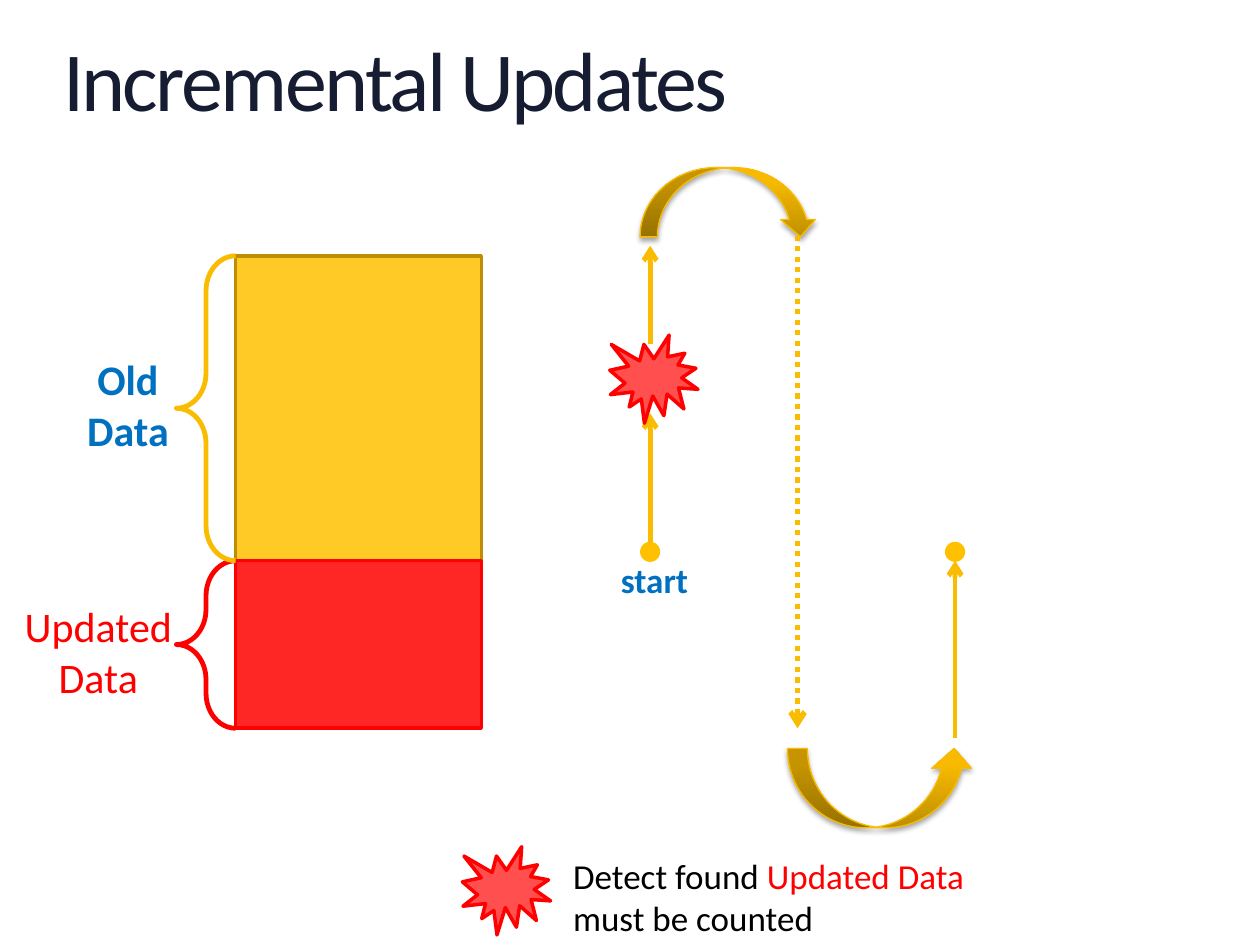
from dataclasses import dataclass

from lxml.etree import SubElement
from pptx import Presentation
from pptx.dml.color import RGBColor
from pptx.enum.dml import MSO_LINE
from pptx.enum.shapes import MSO_CONNECTOR, MSO_SHAPE
from pptx.enum.text import MSO_ANCHOR, PP_ALIGN
from pptx.oxml import parse_xml
from pptx.oxml.ns import nsdecls, qn
from pptx.util import Inches, Pt


@dataclass(frozen=True)
class Theme:
    font: str = "Calibri"
    title_size: float = 48
    label_size: float = 24
    body_size: float = 20
    title: str = "161D32"
    label: str = "0070C0"
    text: str = "000000"
    red: str = "FF0000"
    gold: str = "FFC000"
    gold_line: str = "F9BC00"
    gold_border: str = "BD8E00"
    gradient: tuple = ((0, "BE8F00"), (80, "F7BA00"), (100, "F8BB00"))


THEME = Theme()


def write_text(frame, paragraphs, size, color, bold=False, align=PP_ALIGN.LEFT):
    """Write paragraphs, each a list of (text, color or None) runs."""
    frame.word_wrap = True
    for index, runs in enumerate(paragraphs):
        paragraph = frame.paragraphs[0] if index == 0 else frame.add_paragraph()
        paragraph.alignment = align
        for text, run_color in runs:
            run = paragraph.add_run()
            run.text = text
            run.font.name = THEME.font
            run.font.size = Pt(size)
            run.font.bold = bold
            run.font.color.rgb = RGBColor.from_string(run_color or color)


def add_text(slide, box, paragraphs, **text_format):
    text_box = slide.shapes.add_textbox(*map(Inches, box))
    write_text(text_box.text_frame, paragraphs, **text_format)


def add_shape(slide, kind, box, fill=None, opacity=100, line=None, width=2):
    shape = slide.shapes.add_shape(kind, *map(Inches, box))
    shape.shadow.inherit = False
    if fill:
        shape.fill.solid()
        shape.fill.fore_color.rgb = RGBColor.from_string(fill)
        if opacity < 100:
            color = shape.fill._xPr.find(qn("a:solidFill"))[0]
            SubElement(color, qn("a:alpha"), val=str(opacity * 1000))
    else:
        shape.fill.background()
    if line:
        shape.line.color.rgb = RGBColor.from_string(line)
        shape.line.width = Pt(width)
    else:
        shape.line.fill.background()
    return shape


def add_arrow(slide, start, end, width=2.75, dash=None):
    arrow = slide.shapes.add_connector(
        MSO_CONNECTOR.STRAIGHT, *map(Inches, (*start, *end)))
    arrow.line.color.rgb = RGBColor.from_string(THEME.gold_line)
    arrow.line.width = Pt(width)
    if dash:
        arrow.line.dash_style = dash
    SubElement(arrow.line._get_or_add_ln(), qn("a:tailEnd"), type="arrow")
    SubElement(arrow._element.spPr, qn("a:effectLst"))


def add_curved_arrow(slide, kind, box):
    shape = add_shape(slide, kind, box, line=THEME.gold_line, width=0.75)
    properties = shape._element.spPr
    stops = "".join(
        f'<a:gs pos="{position * 1000}"><a:srgbClr val="{color}"/></a:gs>'
        for position, color in THEME.gradient)
    gradient = parse_xml(
        f'<a:gradFill {nsdecls("a")} rotWithShape="1"><a:gsLst>{stops}</a:gsLst>'
        '<a:lin ang="16200000" scaled="0"/></a:gradFill>')
    properties.replace(properties.find(qn("a:noFill")), gradient)
    shadow = SubElement(
        properties.find(qn("a:effectLst")), qn("a:outerShdw"),
        blurRad=str(Pt(3.1)), dist=str(Pt(1.8)), dir="5400000", rotWithShape="0")
    color = SubElement(shadow, qn("a:srgbClr"), val="000000")
    SubElement(color, qn("a:alpha"), val="35000")


def add_burst(slide, left, top):
    add_shape(slide, MSO_SHAPE.EXPLOSION1, (left, top, 0.7, 0.7),
              THEME.red, 69, THEME.red)


def add_dot(slide, center, top):
    diameter = 0.16
    add_shape(slide, MSO_SHAPE.OVAL,
              (center - diameter / 2, top, diameter, diameter), THEME.gold)


def add_title(slide, box, text):
    title = slide.shapes.title
    title.left, title.top, title.width, title.height = map(Inches, box)
    frame = title.text_frame
    frame.margin_left = frame.margin_right = 0
    frame.margin_top = frame.margin_bottom = 0
    frame.vertical_anchor = MSO_ANCHOR.TOP
    write_text(frame, [[(text, None)]], THEME.title_size, THEME.title)
    paragraph = frame.paragraphs[0]
    paragraph.line_spacing = 0.9
    paragraph.runs[0].font._element.set("spc", "-150")


def add_data_stack(slide, box):
    """Place the old and updated data blocks with their braces and labels."""
    left, top, width, height = box
    old_height = 2.42
    brace_width = 0.47
    middle = top + old_height
    blocks = (
        (top, old_height, THEME.gold, THEME.gold_border),
        (middle, height - old_height, THEME.red, THEME.red))
    for block_top, block_height, fill, border in blocks:
        add_shape(slide, MSO_SHAPE.RECTANGLE, (left, block_top, width, block_height),
                  fill, 85, border)
    for (block_top, block_height, *_), color in zip(
            reversed(blocks), (THEME.red, THEME.gold_line)):
        brace = add_shape(
            slide, MSO_SHAPE.RIGHT_BRACE,
            (left - brace_width, block_top, brace_width, block_height),
            line=color, width=2.75)
        brace.rotation = 180
        brace.adjustments[0] = 0.59
    for label_box, word, color, bold in (
            ((left - 1.4, top + 0.73, 1.09, 0.91), "Old", THEME.label, True),
            ((left - 2.03, middle + 0.27, 1.88, 0.91), "Updated", THEME.red, False)):
        add_text(slide, label_box, [[(word, None)], [("Data", None)]],
                 size=THEME.label_size, color=color, bold=bold,
                 align=PP_ALIGN.CENTER)


def add_scan_path(slide, box):
    """Place the scan that rises from the start, wraps round and rises again."""
    left, top, width, height = box
    bottom = top + height
    start_x, down_x, end_x = left + 0.32, left + 1.49, left + 2.74
    dot_top = top + 2.97
    dot_bottom = dot_top + 0.15
    add_curved_arrow(slide, MSO_SHAPE.CURVED_DOWN_ARROW,
                     (left + 0.24, top, 1.41, 0.55))
    add_arrow(slide, (down_x, top + 0.54), (down_x, top + 4.45), 3,
              MSO_LINE.ROUND_DOT)
    add_arrow(slide, (start_x, dot_bottom), (start_x, top + 1.95))
    add_dot(slide, start_x, dot_top)
    add_burst(slide, left, top + 1.33)
    add_arrow(slide, (start_x, top + 1.4), (start_x, top + 0.62))
    add_curved_arrow(slide, MSO_SHAPE.CURVED_UP_ARROW,
                     (left + width - 1.48, bottom - 0.63, 1.48, 0.63))
    add_arrow(slide, (end_x, bottom - 0.71), (end_x, dot_bottom))
    add_dot(slide, end_x, dot_top)
    add_text(slide, (left - 0.23, top + 3.05, 1.17, 0.44), [[("start", None)]],
             size=THEME.body_size, color=THEME.label, bold=True,
             align=PP_ALIGN.CENTER)


def add_legend(slide, box):
    left, top, width, height = box
    add_burst(slide, left, top)
    add_text(slide, (left + 0.78, top + 0.01, width - 0.78, height - 0.01),
             [[("Detect found ", None), ("Updated Data", THEME.red)],
              [("must be counted", None)]],
             size=THEME.body_size, color=THEME.text)


def main():
    presentation = Presentation()
    presentation.slide_width = Inches(10)
    presentation.slide_height = Inches(7.5)
    slide = presentation.slides.add_slide(presentation.slide_layouts[5])
    add_title(slide, (0.5, 0.31, 9, 1.25), "Incremental Updates")
    add_data_stack(slide, (1.87, 2.03, 1.95, 3.75))
    add_scan_path(slide, (4.84, 1.33, 2.89, 5.24))
    add_legend(slide, (3.67, 6.72, 6.33, 0.78))
    presentation.save("out.pptx")


if __name__ == "__main__":
    main()
